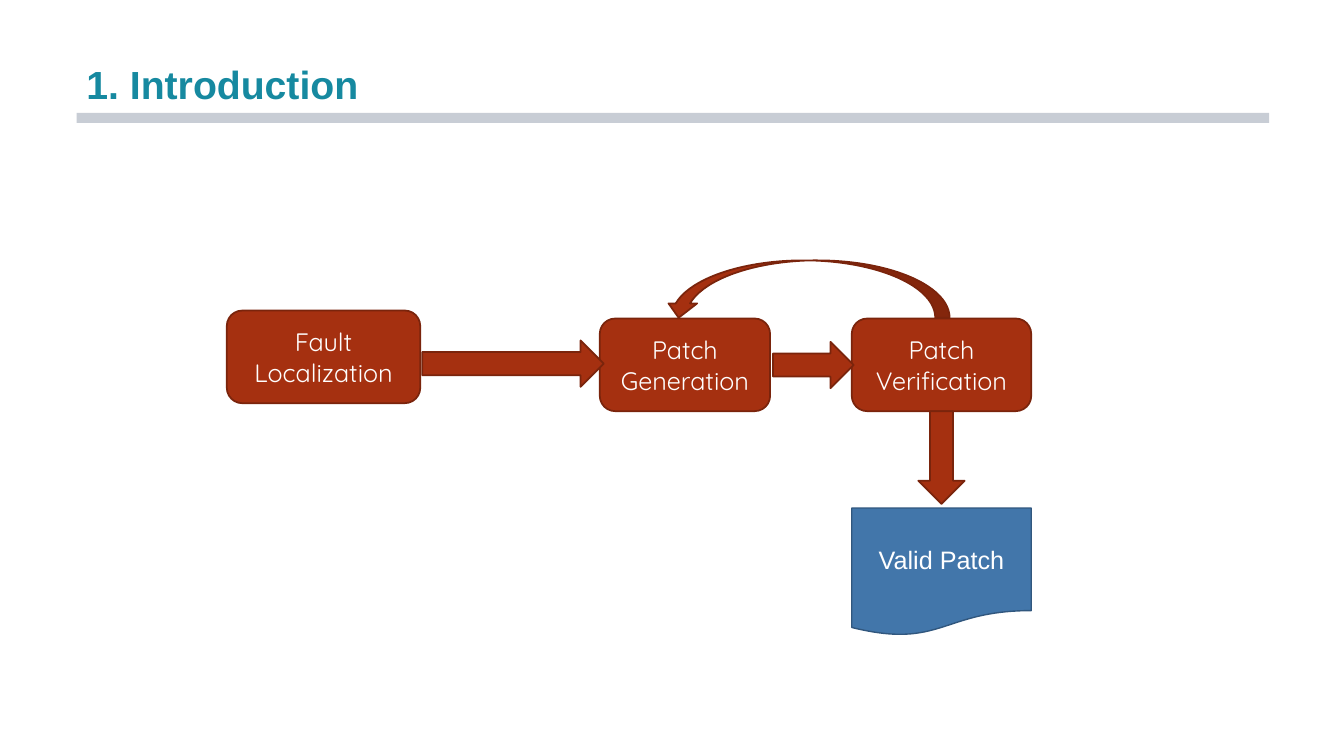
from dataclasses import dataclass

from pptx import Presentation
from pptx import util as u
from pptx.dml.color import RGBColor
from pptx.enum import shapes, text


@dataclass(frozen=True)
class Theme:
    title: str = "1689A0"
    rule: str = "C8CDD5"
    step: str = "A53010"
    step_edge: str = "7A240C"
    result: str = "4276AA"
    result_edge: str = "31577E"
    label: str = "FFFFFF"
    title_size: int = 28
    label_size: int = 18
    step_font: str = "Quicksand"
    plain_font: str = "Arial"


theme = Theme()
KIND = shapes.MSO_SHAPE


def add_shape(kind, bounds, fill, edge=None, edge_width=1.25):
    """Draw a flat shape; bounds are left, top, width, height in points."""
    shape = page.shapes.add_shape(kind, *map(u.Pt, bounds))
    shape.shadow.inherit = False
    shape.fill.solid()
    shape.fill.fore_color.rgb = RGBColor.from_string(fill)
    if edge:
        shape.line.color.rgb = RGBColor.from_string(edge)
        shape.line.width = u.Pt(edge_width)
    else:
        shape.line.fill.background()
    return shape


def write(shape, words, font, size, color):
    frame = shape.text_frame
    frame.word_wrap = True
    para = frame.paragraphs[0]
    para.text = words
    para.font.name = font
    para.font.size = u.Pt(size)
    para.font.color.rgb = RGBColor.from_string(color)
    return para


deck = Presentation()
deck.slide_width, deck.slide_height = u.Pt(960), u.Pt(540)
page = deck.slides.add_slide(deck.slide_layouts[6])

# Process steps and the arrows between them
steps = [
    ("Patch Generation", (428.4, 227.5, 121.7, 66.2)),
    ("Patch Verification", (608.4, 227.5, 128.2, 66.2)),
    ("Fault Localization", (162, 221.8, 138.2, 66.2)),
]
arrows = [
    (KIND.RIGHT_ARROW, (301.7, 243.2, 129.6, 33.1), 0),
    (KIND.RIGHT_ARROW, (552.2, 244.2, 57.6, 33.1), 0),
    (KIND.CURVED_DOWN_ARROW, (474.5, 186, 203.8, 41), 180),
    (KIND.RIGHT_ARROW, (639.4, 310.3, 66.2, 33.1), 90),
]
for kind, bounds, turn in arrows:
    arrow = add_shape(kind, bounds, theme.step, theme.step_edge)
    arrow.rotation = turn
    if kind == KIND.CURVED_DOWN_ARROW:
        arrow.element.spPr.xfrm.set("flipV", "1")

for words, bounds in steps:
    box = add_shape(KIND.ROUNDED_RECTANGLE, bounds, theme.step, theme.step_edge)
    box.text_frame.vertical_anchor = text.MSO_ANCHOR.MIDDLE
    para = write(box, words, theme.step_font, theme.label_size, theme.label)
    para.alignment = text.PP_ALIGN.CENTER
# The arrows' tips lie over the boxes they point to
for box in list(page.shapes)[len(arrows):len(arrows) + 2]:
    page.shapes[0].element.addprevious(box.element)

# Title and rule
title = page.shapes.add_textbox(u.Pt(54.7), u.Pt(0), u.Pt(852.5), u.Pt(79.9))
title.text_frame.vertical_anchor = text.MSO_ANCHOR.BOTTOM
para = write(title, "1. Introduction", theme.plain_font, theme.title_size, theme.title)
para.font.bold = True
para.line_spacing = 1.2
add_shape(KIND.RECTANGLE, (54.7, 80.7, 851.8, 7.2), theme.rule)

# Result
result = add_shape(KIND.FLOWCHART_DOCUMENT, (608.4, 362.9, 128.2, 91.4),
                   theme.result, theme.result_edge, 1)
result.text_frame.vertical_anchor = text.MSO_ANCHOR.MIDDLE
para = write(result, "Valid Patch", theme.plain_font, theme.label_size, theme.label)
para.alignment = text.PP_ALIGN.CENTER

deck.save("out.pptx")
